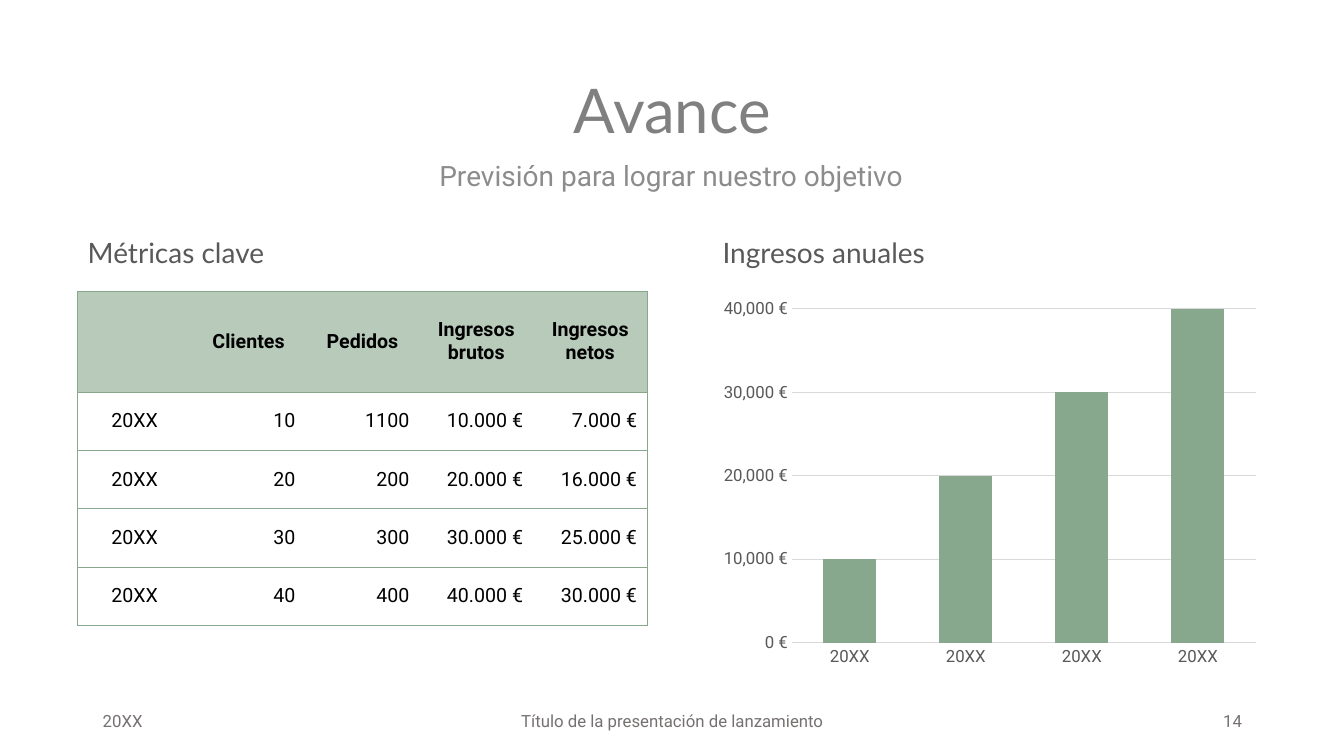
from lxml.etree import SubElement
from pptx import Presentation
from pptx.chart.data import CategoryChartData as ChartData
from pptx.dml.color import RGBColor
from pptx.enum.chart import XL_CHART_TYPE as Kind, XL_TICK_MARK as Tick
from pptx.enum.text import MSO_ANCHOR as Anchor, PP_ALIGN as Align
from pptx.oxml import parse_xml
from pptx.oxml.ns import nsdecls
from pptx.util import Cm, Pt

GREEN, PALE, GRID, DARK, FOOT = "88A88E", "B8CBBB", "D9D9D9", "595959", "767171"
LEFT, MID, RIGHT = Align.LEFT, Align.CENTER, Align.RIGHT


def color(code):
    return RGBColor.from_string(code)


def write(frame, text, size, face, code, align=LEFT, bold=False):
    para = frame.paragraphs[0]
    para.alignment = align
    run = para.add_run()
    run.text = text
    font = run.font
    font.size, font.name, font.bold = Pt(size), face, bold
    font.color.rgb = color(code)
    return para


deck = Presentation()
deck.slide_width, deck.slide_height = Cm(33.87), Cm(19.05)
slide = deck.slides.add_slide(deck.slide_layouts[6])
shapes = slide.shapes

# Headings and footer: place, text, size, face, colour, align, anchor, spacing
TOP, HALF = Anchor.TOP, Anchor.MIDDLE
texts = [
    ((2.34, 1.02, 29.21, 3.68), "Avance", 44, "Lato", "808080", MID, HALF, 0.9),
    ((2.31, 3.96, 29.21, 1.27), "Previsión para lograr nuestro objetivo",
     20, "Roboto", "8C8C8C", MID, TOP, 0.9),
    ((1.96, 5.77, 13.97, 1.27), "Métricas clave", 20, "Lato", DARK, LEFT, HALF, 0.9),
    ((17.96, 5.77, 13.97, 1.27), "Ingresos anuales", 20, "Lato", DARK, LEFT, HALF, 0.9),
    ((2.34, 17.65, 7.62, 1.02), "20XX", 12, "Roboto", FOOT, LEFT, HALF, 1.0),
    ((11.23, 17.65, 11.43, 1.02), "Título de la presentación de lanzamiento",
     12, "Roboto", FOOT, MID, HALF, 1.0),
    ((23.93, 17.65, 7.62, 1.02), "14", 12, "Roboto", FOOT, RIGHT, HALF, 1.0),
]
for place, text, size, face, code, align, anchor, gap in texts:
    frame = shapes.add_textbox(*map(Cm, place)).text_frame
    frame.word_wrap = True
    frame.vertical_anchor = anchor
    write(frame, text, size, face, code, align).line_spacing = gap

# Metrics table
rows = [
    ("", "Clientes", "Pedidos", "Ingresos brutos", "Ingresos netos"),
    ("20XX", "10", "1100", "10.000 €", "7.000 €"),
    ("20XX", "20", "200", "20.000 €", "16.000 €"),
    ("20XX", "30", "300", "30.000 €", "25.000 €"),
    ("20XX", "40", "400", "40.000 €", "30.000 €"),
]
last = len(rows[0]) - 1
table = shapes.add_table(len(rows), len(rows[0]), Cm(1.96), Cm(7.34),
                         Cm(14.33), Cm(8.42)).table
table.horz_banding = False
for col in table.columns:
    col.width = Cm(2.87)
for r, row in enumerate(rows):
    table.rows[r].height = Cm(1.47 if r else 2.54)
    for c, text in enumerate(row):
        cell = table.cell(r, c)
        cell.vertical_anchor = HALF
        if text:
            align = RIGHT if r and c else MID
            write(cell.text_frame, text, 14, "Roboto", "000000", align, r == 0)
        if r:
            cell.fill.background()
        else:
            cell.fill.solid()
            cell.fill.fore_color.rgb = color(PALE)
        # Rules between rows and around the outside only
        props = cell._tc.get_or_add_tcPr()
        edges = [("L", c == 0), ("R", c == last), ("T", True), ("B", True)]
        for spot, (side, shown) in enumerate(edges):
            line = parse_xml(f'<a:ln{side} {nsdecls("a")} w="6350"/>')
            ns = line.nsmap["a"]
            if shown:
                fill = SubElement(line, f"{{{ns}}}solidFill")
                SubElement(fill, f"{{{ns}}}srgbClr", val=GREEN)
            else:
                SubElement(line, f"{{{ns}}}noFill")
            props.insert(spot, line)

# Revenue chart
data = ChartData()
data.categories = ["20XX"] * 4
data.add_series("Series 1", [10000, 20000, 30000, 40000])
chart = shapes.add_chart(Kind.COLUMN_CLUSTERED, Cm(17.96), Cm(7.34),
                         Cm(13.97), Cm(9.65), data).chart
chart.has_legend = chart.has_title = False
chart.font.name, chart.font.size = "Roboto", Pt(10)
chart.font.color.rgb = color("000000")
plot = chart.plots[0]
plot.vary_by_categories = False
plot.gap_width, plot.overlap = 118, -3
bars = plot.series[0].format.fill
bars.solid()
bars.fore_color.rgb = color(GREEN)

years, euros = chart.category_axis, chart.value_axis
for axis in (years, euros):
    axis.major_tick_mark = axis.minor_tick_mark = Tick.NONE
    font = axis.tick_labels.font
    font.name, font.size = "Roboto", Pt(12)
    font.color.rgb = color(DARK)
euros.minimum_scale, euros.maximum_scale, euros.major_unit = 0, 40000, 10000
euros.tick_labels.number_format = '#,##0\\ "€"'
euros.tick_labels.number_format_is_linked = False
euros.format.line.fill.background()
for line in (years.format.line, euros.major_gridlines.format.line):
    line.color.rgb = color(GRID)
    line.width = Pt(0.75)

deck.save("out.pptx")
